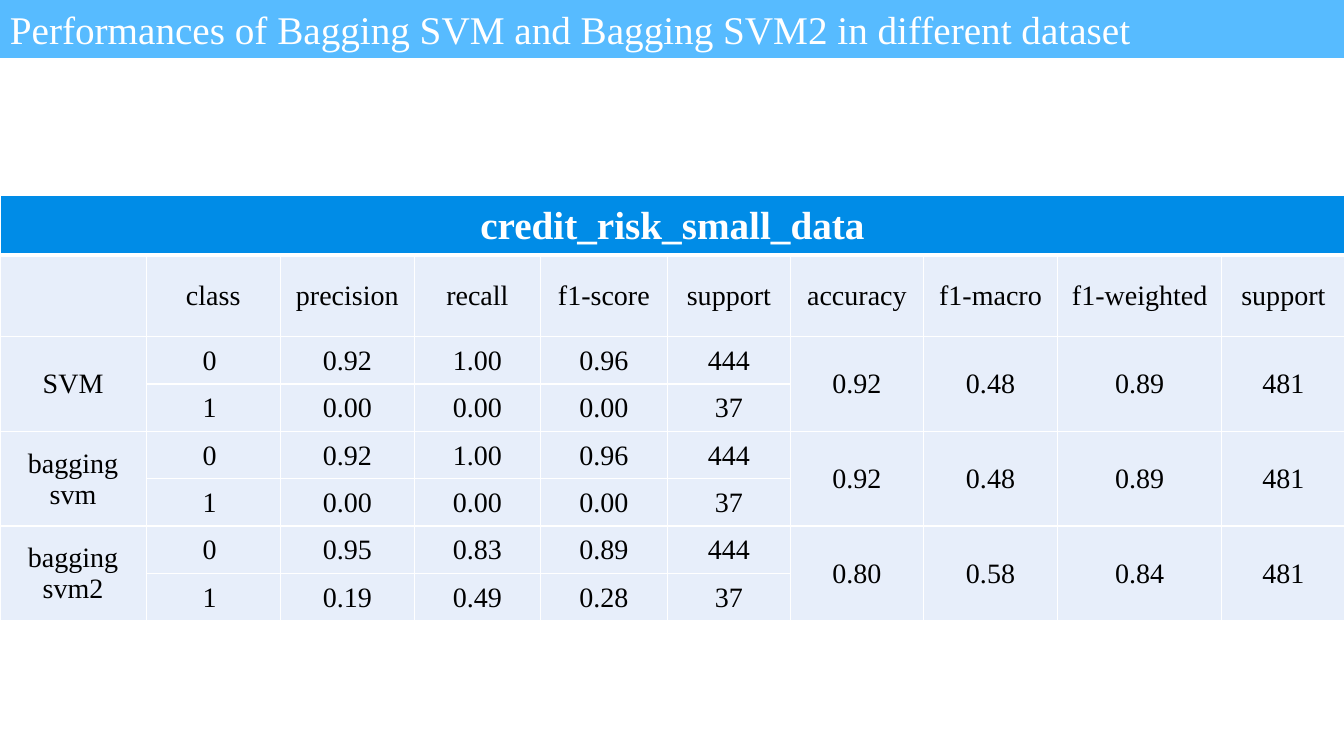
from lxml.etree import SubElement
from pptx import Presentation
from pptx.dml.color import RGBColor
from pptx.enum.shapes import MSO_SHAPE
from pptx.enum.text import MSO_ANCHOR, PP_ALIGN
from pptx.oxml.ns import qn
from pptx.util import Inches, Pt

FONT = "Times New Roman"
WHITE, BLACK = "FFFFFF", "000000"
TITLE_BLUE, HEADER_BLUE, CELL_BLUE = "57BBFF", "008CE7", "E7EEFA"

COLUMN_WIDTHS = [1.45, 1.33, 1.33, 1.25, 1.26, 1.22, 1.32, 1.33, 1.63, 1.22]
ROW_HEIGHTS = [0.59, 0.81] + [0.47] * 6
HEADINGS = ["", "class", "precision", "recall", "f1-score", "support",
            "accuracy", "f1-macro", "f1-weighted", "support"]
# Model name, rows for each class, overall scores
MODELS = [
    ("SVM",
     [["0 ", "0.92", "1.00", "0.96", "444"], ["1 ", "0.00", "0.00", "0.00", "37"]],
     ["0.92", "0.48", "0.89", "481"]),
    ("bagging svm",
     [["0 ", "0.92", "1.00", "0.96", "444"], ["1 ", "0.00", "0.00", "0.00", "37"]],
     ["0.92", "0.48", "0.89", "481"]),
    ("bagging svm2",
     [["0 ", "0.95", "0.83", "0.89", "444"], ["1 ", "0.19", "0.49", "0.28", "37"]],
     ["0.80", "0.58", "0.84", "481"]),
]


def color(value):
    return RGBColor.from_string(value)


def add_text(paragraph, text, size, text_color, bold=False):
    run = paragraph.add_run()
    run.text = text
    run.font.name = FONT
    run.font.size = Pt(size)
    run.font.bold = bold
    run.font.color.rgb = color(text_color)


def add_title_bar(slide, text):
    shape = slide.shapes.add_shape(
        MSO_SHAPE.RECTANGLE, 0, 0, Inches(13.33), Inches(0.57))
    shape.shadow.inherit = False
    shape.fill.solid()
    shape.fill.fore_color.rgb = color(TITLE_BLUE)
    shape.line.color.rgb = color(TITLE_BLUE)
    shape.line.width = Pt(1)
    shape.text_frame.vertical_anchor = MSO_ANCHOR.MIDDLE
    paragraph = shape.text_frame.paragraphs[0]
    paragraph.alignment = PP_ALIGN.LEFT
    add_text(paragraph, text, 28, WHITE)


def set_borders(cell, top=1, bottom=1):
    properties = cell._tc.get_or_add_tcPr()
    for side, width in (("L", 1), ("R", 1), ("T", top), ("B", bottom)):
        line = SubElement(properties, qn(f"a:ln{side}"), w=str(Pt(width)))
        fill = SubElement(line, qn("a:solidFill"))
        SubElement(fill, qn("a:srgbClr"), val=WHITE)


def style_cell(cell, fill_color):
    cell.fill.solid()
    cell.fill.fore_color.rgb = color(fill_color)
    cell.vertical_anchor = MSO_ANCHOR.MIDDLE
    cell.margin_left = cell.margin_right = Inches(0.02)
    cell.margin_top = Inches(0.01)
    cell.margin_bottom = 0


def write_cell(cell, text, size=20, text_color=BLACK, bold=False):
    paragraph = cell.text_frame.paragraphs[0]
    paragraph.alignment = PP_ALIGN.CENTER
    if text:
        add_text(paragraph, text, size, text_color, bold)


def add_score_table(slide, dataset):
    table = slide.shapes.add_table(
        len(ROW_HEIGHTS), len(COLUMN_WIDTHS), 0, Inches(1.94),
        Inches(sum(COLUMN_WIDTHS)), Inches(sum(ROW_HEIGHTS))).table
    for column, width in zip(table.columns, COLUMN_WIDTHS):
        column.width = Inches(width)
    for index, height in enumerate(ROW_HEIGHTS):
        table.rows[index].height = Inches(height)
        for column in range(len(COLUMN_WIDTHS)):
            cell = table.cell(index, column)
            set_borders(cell, top=3 if index == 1 else 1, bottom=3 if index == 0 else 1)
            style_cell(cell, HEADER_BLUE if index == 0 else CELL_BLUE)

    # Dataset name and column headings
    table.cell(0, 0).merge(table.cell(0, len(COLUMN_WIDTHS) - 1))
    write_cell(table.cell(0, 0), dataset, 28, WHITE, True)
    for column, heading in enumerate(HEADINGS):
        write_cell(table.cell(1, column), heading)

    # Two rows per model; name and overall scores span both
    for index, (name, class_rows, overall) in enumerate(MODELS):
        top = 2 + 2 * index
        for offset, values in enumerate(class_rows):
            for column, value in enumerate(values, 1):
                write_cell(table.cell(top + offset, column), value)
        for column, value in [(0, name), *enumerate(overall, 6)]:
            table.cell(top, column).merge(table.cell(top + 1, column))
            write_cell(table.cell(top, column), value)


def main():
    presentation = Presentation()
    presentation.slide_width = Inches(13.33)
    presentation.slide_height = Inches(7.5)
    slide = presentation.slides.add_slide(presentation.slide_layouts[6])
    add_title_bar(slide, "Performances of Bagging SVM and Bagging SVM2 in different dataset")
    add_score_table(slide, "credit_risk_small_data")
    presentation.save("out.pptx")


if __name__ == "__main__":
    main()
